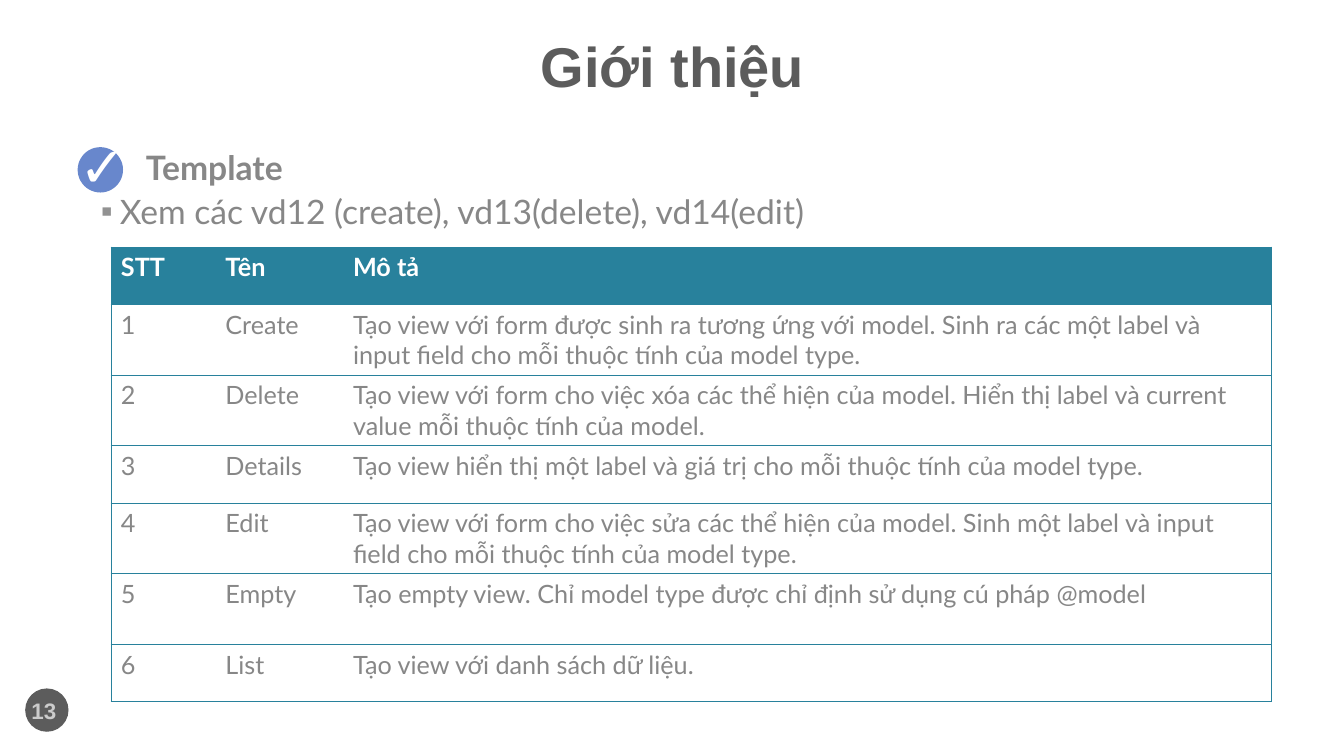
from collections import namedtuple

from lxml.etree import SubElement
from pptx import Presentation
from pptx.dml.color import RGBColor
from pptx.enum.shapes import MSO_SHAPE
from pptx.enum.text import MSO_ANCHOR, MSO_AUTO_SIZE, PP_ALIGN
from pptx.oxml.ns import qn
from pptx.util import Inches, Pt

WHITE = RGBColor(0xFF, 0xFF, 0xFF)
CHARCOAL = RGBColor(0x5C, 0x5C, 0x5C)
GRAY = RGBColor(0x87, 0x87, 0x87)
BULLET_GRAY = RGBColor(0x92, 0x92, 0x92)
PALE_GRAY = RGBColor(0xCB, 0xCB, 0xCB)
BLUE = RGBColor(0x68, 0x87, 0xCC)
TEAL = RGBColor(0x28, 0x81, 0x9C)

Box = namedtuple("Box", "left top width height")

COLUMN_SHARES = (0.09, 0.11, 0.8)
SHORT_ROW, TALL_ROW = 0.57, 0.7
HEADER = ("STT", "Tên", "Mô tả")
TEMPLATES = (
    ("Create", TALL_ROW, "Tạo view với form được sinh ra tương ứng với model. "
     "Sinh ra các một label và input field cho mỗi thuộc tính của model type."),
    ("Delete", TALL_ROW, "Tạo view với form cho việc xóa các thể hiện của model. "
     "Hiển thị label và current value mỗi thuộc tính của model."),
    ("Details", SHORT_ROW, "Tạo view hiển thị một label và giá trị cho mỗi thuộc tính của model type."),
    ("Edit", TALL_ROW, "Tạo view với form cho việc sửa các thể hiện của model. "
     "Sinh một label và input field cho mỗi thuộc tính của model type."),
    ("Empty", TALL_ROW, "Tạo empty view. Chỉ model type được chỉ định sử dụng cú pháp @model"),
    ("List", SHORT_ROW, "Tạo view với danh sách dữ liệu."),
)


def place(shape, box):
    """Move and size a shape to a box in inches."""
    shape.left, shape.top, shape.width, shape.height = map(Inches, box)


def write(frame, text, size, color, font="Lato", bold=False, align=PP_ALIGN.LEFT):
    """Write one formatted paragraph and return it."""
    para = frame.paragraphs[0]
    para.text = text
    para.alignment = align
    para.space_before = Pt(0)
    para.font.name = font
    para.font.size = Pt(size)
    para.font.bold = bold
    para.font.color.rgb = color
    return para


def add_title(page, box):
    """Fill the title placeholder."""
    place(page.shapes.title, box)
    frame = page.shapes.title.text_frame
    frame.auto_size = MSO_AUTO_SIZE.NONE
    frame.vertical_anchor = MSO_ANCHOR.MIDDLE
    para = write(frame, "Giới thiệu", 40, CHARCOAL, "Arial", True, PP_ALIGN.CENTER)
    para.line_spacing = 0.9


def add_badge(page, box, fill, label_box, text, size, color, font, bold=False):
    """Draw a disc with a centred label over it."""
    disc = page.shapes.add_shape(MSO_SHAPE.OVAL, *map(Inches, box))
    disc.shadow.inherit = False
    disc.fill.solid()
    disc.fill.fore_color.rgb = fill
    disc.line.fill.background()
    frame = page.shapes.add_textbox(*map(Inches, label_box)).text_frame
    frame.word_wrap = False
    frame.vertical_anchor = MSO_ANCHOR.MIDDLE
    write(frame, text, size, color, font, bold, PP_ALIGN.CENTER)


def add_heading(page, box):
    """Write the section heading beside its check badge."""
    disc = Box(box.left - 0.58, box.top + 0.05, 0.45, 0.45)
    label = Box(box.left - 0.71, box.top - 0.16, 0.76, 0.77)
    frame = page.shapes.add_textbox(*map(Inches, box)).text_frame
    frame.word_wrap = True
    write(frame, "Template", 24, GRAY, bold=True)
    add_badge(page, disc, BLUE, label, "✓", 40, WHITE, "Lato")


def add_bullet(page, box):
    """Fill the body placeholder with the square-bulleted line."""
    body = page.placeholders[1]
    place(body, box)
    frame = body.text_frame
    frame.auto_size = MSO_AUTO_SIZE.NONE
    frame.vertical_anchor = MSO_ANCHOR.TOP
    frame.text = "Xem các vd12 (create), vd13(delete), vd14(edit)"
    props = frame.paragraphs[0]._p.get_or_add_pPr()
    props.set("marL", str(Inches(0.19)))
    props.set("indent", str(-Inches(0.19)))
    SubElement(SubElement(props, qn("a:buClr")), qn("a:srgbClr"), val=str(BULLET_GRAY))
    SubElement(props, qn("a:buFont"), typeface="Arial")
    SubElement(props, qn("a:buChar"), char="▪")
    write(frame, frame.text, 24, GRAY)


def set_borders(cell, column):
    """Rule a cell above and below, and on the table's outer sides."""
    ruled = {"L": column == 0, "R": column == len(HEADER) - 1, "T": True, "B": True}
    props = cell._tc.get_or_add_tcPr()
    for side, shown in ruled.items():
        line = SubElement(props, qn(f"a:ln{side}"), w=str(Pt(0.5)))
        if shown:
            SubElement(SubElement(line, qn("a:solidFill")), qn("a:srgbClr"), val=str(TEAL))
        else:
            SubElement(line, qn("a:noFill"))


def add_template_table(page, box):
    """Build the table of view templates."""
    rows = [HEADER] + [(str(n), name, text) for n, (name, _, text) in enumerate(TEMPLATES, 1)]
    heights = [SHORT_ROW] + [height for _, height, _ in TEMPLATES]
    table = page.shapes.add_table(len(rows), len(HEADER), *map(Inches, box)).table
    table.first_row = table.horz_banding = False
    for column, share in zip(table.columns, COLUMN_SHARES):
        column.width = Inches(box.width * share)
    for r, (values, height) in enumerate(zip(rows, heights)):
        table.rows[r].height = Inches(height)
        for c, value in enumerate(values):
            cell = table.cell(r, c)
            set_borders(cell, c)
            if r == 0:
                cell.fill.solid()
                cell.fill.fore_color.rgb = TEAL
            else:
                cell.fill.background()
            write(cell.text_frame, value, 18, GRAY if r else WHITE, bold=r == 0)


def main():
    """Build the deck and save it."""
    deck = Presentation()
    deck.slide_width, deck.slide_height = Inches(13.33), Inches(7.5)
    page = deck.slides.add_slide(deck.slide_layouts[1])
    add_badge(page, Box(0.25, 6.83, 0.43, 0.43), CHARCOAL, Box(0.19, 6.85, 0.49, 0.4),
              "13", 16, PALE_GRAY, "Arial", True)
    add_title(page, Box(0.92, 0.33, 11.5, 0.72))
    add_heading(page, Box(1.35, 1.41, 10.06, 0.5))
    add_template_table(page, Box(1.1, 2.45, 11.51, 4.51))
    add_bullet(page, Box(0.9, 1.84, 12.43, 0.5))
    deck.save("out.pptx")


if __name__ == "__main__":
    main()
